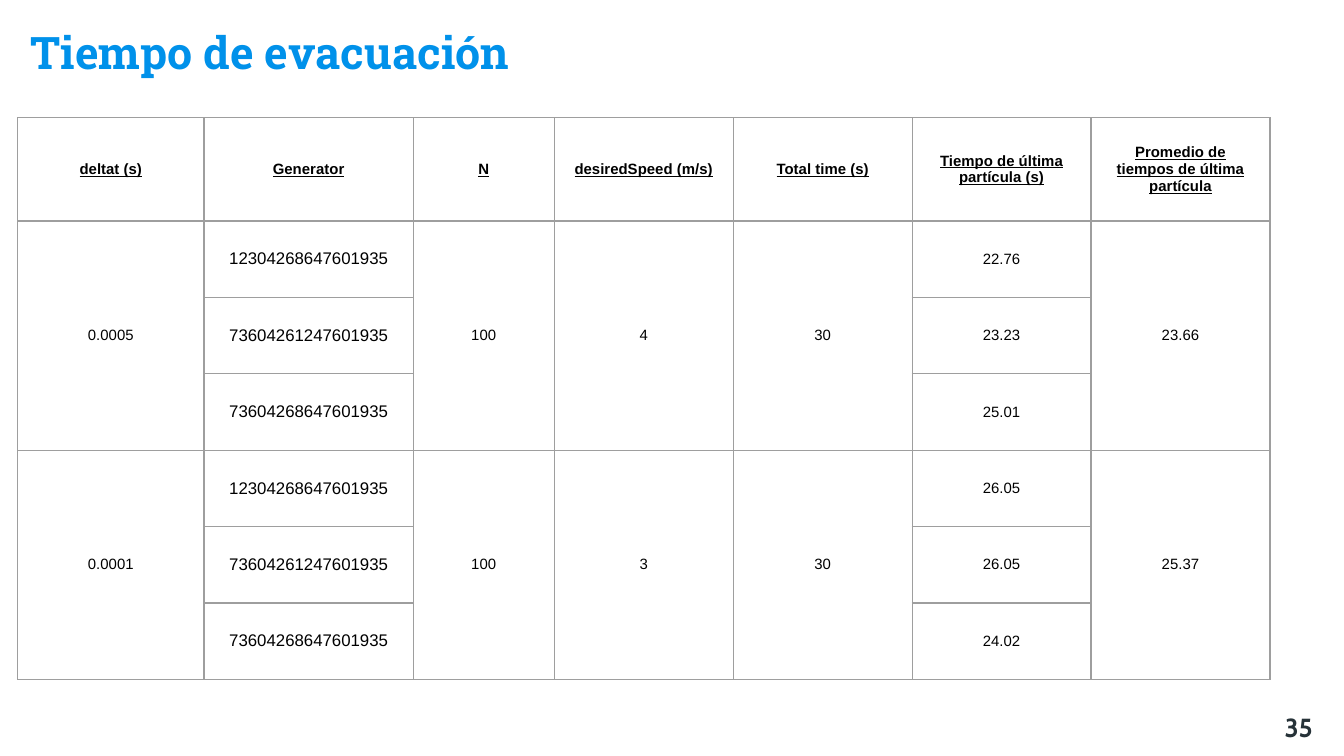
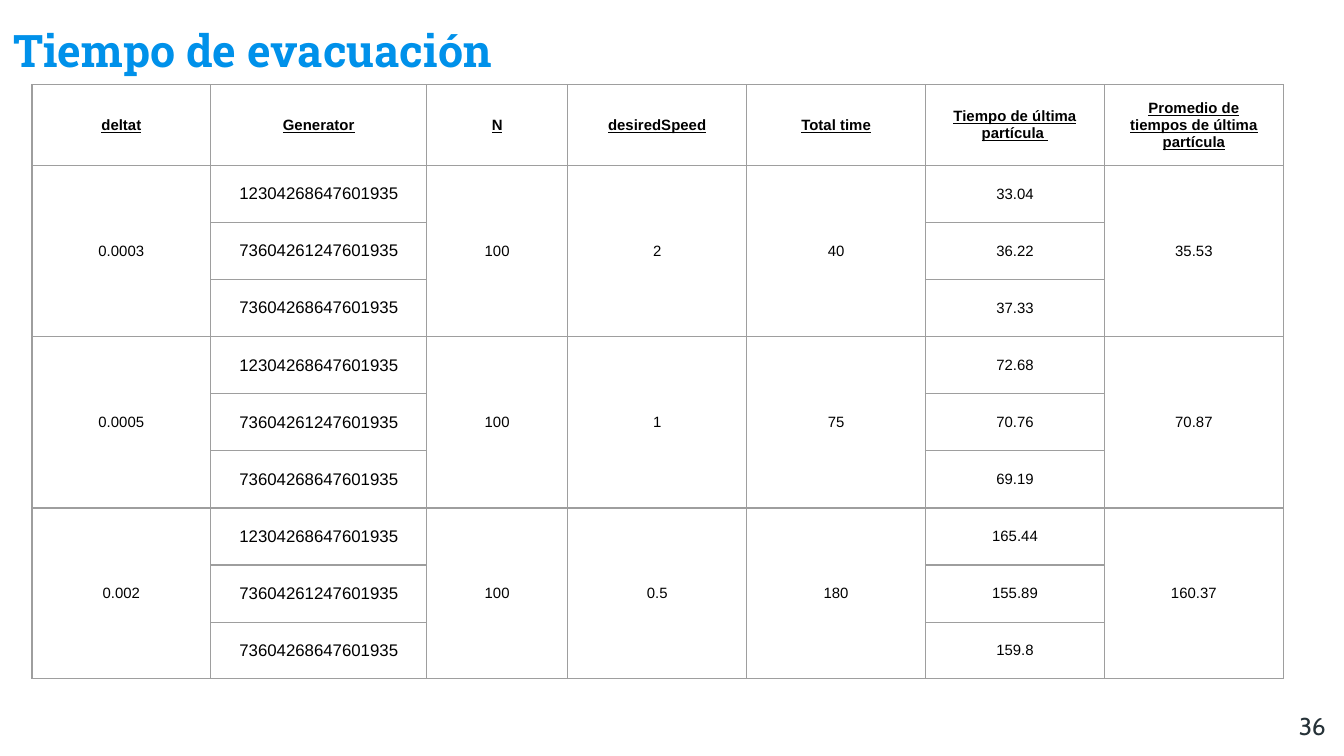
"""Builds two slides of evacuation time tables."""
from dataclasses import dataclass

from lxml import etree
from pptx import Presentation
from pptx import util as u
from pptx.dml.color import RGBColor
from pptx.enum import text
from pptx.oxml import ns

PX = 5715
BLUE = RGBColor(0x00, 0x91, 0xEA)
SLATE = RGBColor(0x26, 0x32, 0x38)
BLACK = RGBColor(0x00, 0x00, 0x00)
BORDER = RGBColor(0x9E, 0x9E, 0x9E)
INSET = 16
FRAME_SIZE = 525
TITLE = "Tiempo de evacuación"
GENERATORS = ("12304268647601935", "73604261247601935", "73604268647601935")
GENERATOR_COLUMN, TIME_COLUMN = 1, 5


@dataclass(frozen=True)
class Style:
    font: str
    size: int
    color: RGBColor
    bold: bool = False
    underline: bool = False
    align: text.PP_ALIGN = text.PP_ALIGN.CENTER
    anchor: text.MSO_ANCHOR = text.MSO_ANCHOR.MIDDLE


@dataclass(frozen=True)
class Box:
    left: int
    top: int
    width: int
    height: int


@dataclass(frozen=True)
class Trial:
    deltat: str
    speed: str
    total: str
    times: tuple[str, str, str]
    average: str


@dataclass(frozen=True)
class Page:
    title_box: Box
    number: str
    number_style: Style
    table_left: int
    table_top: int
    columns: tuple[int, ...]
    rows: tuple[int, ...]
    headers: tuple[str, ...]
    trials: tuple[Trial, ...]


TITLE_STYLE = Style("Roboto Slab", 24, BLUE, bold=True,
                    align=text.PP_ALIGN.LEFT, anchor=text.MSO_ANCHOR.BOTTOM)
HEADER_STYLE = Style("Arial", 8, BLACK, bold=True, underline=True)
VALUE_STYLE = Style("Arial", 8, BLACK)
GENERATOR_STYLE = Style("Arial", 9, BLACK)
NUMBER_BOX = Box(1498, 831, 96, 69)

PAGES = (
    Page(
        Box(21, -14, 1325, 123), "35", Style("Cabin", 14, SLATE, bold=True),
        21, 140, (222, 249, 168) + (213,) * 4, (123,) + (91,) * 6,
        ("deltat (s)", "Generator", "N", "desiredSpeed (m/s)", "Total time (s)",
         "Tiempo de última partícula (s)", "Promedio de tiempos de última partícula"),
        (Trial("0.0005", "4", "30", ("22.76", "23.23", "25.01"), "23.66"),
         Trial("0.0001", "3", "30", ("26.05", "26.05", "24.02"), "25.37")),
    ),
    Page(
        Box(0, -16, 1325, 123), "36",
        Style("Cabin", 13, SLATE, align=text.PP_ALIGN.RIGHT, anchor=text.MSO_ANCHOR.TOP),
        38, 101, (213, 257, 168) + (213,) * 4, (68,) * 9 + (67,),
        ("deltat", "Generator", "N", "desiredSpeed", "Total time",
         "Tiempo de última partícula ", "Promedio de tiempos de última partícula"),
        (Trial("0.0003", "2", "40", ("33.04", "36.22", "37.33"), "35.53"),
         Trial("0.0005", "1", "75", ("72.68", "70.76", "69.19"), "70.87"),
         Trial("0.002", "0.5", "180", ("165.44", "155.89", "159.8"), "160.37")),
    ),
)


def write(frame, words: str, style: Style) -> None:
    """Write one styled run into a text frame."""
    paragraph = frame.paragraphs[0]
    paragraph.alignment = style.align
    run = paragraph.add_run()
    run.text = words
    font = run.font
    font.name, font.size = style.font, u.Pt(style.size)
    font.bold, font.underline = style.bold, style.underline
    font.color.rgb = style.color


def set_margins(target, inset: int) -> None:
    """Give a cell or text frame equal margins."""
    target.margin_left = target.margin_right = inset * PX
    target.margin_top = target.margin_bottom = inset * PX


def add_text(slide, box: Box, words: str, style: Style) -> None:
    """Add a wrapped text box."""
    shape = slide.shapes.add_textbox(
        box.left * PX, box.top * PX, box.width * PX, box.height * PX)
    frame = shape.text_frame
    frame.word_wrap = True
    frame.vertical_anchor = style.anchor
    set_margins(frame, INSET)
    write(frame, words, style)


def format_cell(cell) -> None:
    """Give a cell its borders, empty fill and margins."""
    properties = cell._tc.get_or_add_tcPr()
    for side in ("lnL", "lnR", "lnT", "lnB"):
        line = etree.SubElement(properties, ns.qn(f"a:{side}"), w=str(u.Pt(0.75)))
        fill = etree.SubElement(line, ns.qn("a:solidFill"))
        etree.SubElement(fill, ns.qn("a:srgbClr"), val=str(BORDER))
    cell.fill.background()
    set_margins(cell, 0 if cell.is_spanned else INSET)


def fill_cell(cell, words: str, style: Style) -> None:
    """Write styled words into a table cell."""
    cell.vertical_anchor = style.anchor
    write(cell.text_frame, words, style)


def fill_trial(table, first: int, trial: Trial) -> None:
    """Write the rows of a trial, merging its shared values."""
    shared = {0: trial.deltat, 2: "100", 3: trial.speed, 4: trial.total, 6: trial.average}
    for column, words in shared.items():
        cell = table.cell(first, column)
        cell.merge(table.cell(first + len(GENERATORS) - 1, column))
        fill_cell(cell, words, VALUE_STYLE)
    for row, (generator, time) in enumerate(zip(GENERATORS, trial.times), first):
        fill_cell(table.cell(row, GENERATOR_COLUMN), generator, GENERATOR_STYLE)
        fill_cell(table.cell(row, TIME_COLUMN), time, VALUE_STYLE)


def add_results(slide, page: Page) -> None:
    """Add the table of trials."""
    shape = slide.shapes.add_table(
        len(page.rows), len(page.columns), page.table_left * PX, page.table_top * PX,
        FRAME_SIZE * PX, FRAME_SIZE * PX)
    table = shape.table
    table.first_row = table.horz_banding = False
    for column, width in zip(table.columns, page.columns):
        column.width = width * PX
    for row, height in zip(table.rows, page.rows):
        row.height = height * PX
    shape.width = shape.height = FRAME_SIZE * PX
    for column, header in enumerate(page.headers):
        fill_cell(table.cell(0, column), header, HEADER_STYLE)
    for index, trial in enumerate(page.trials):
        fill_trial(table, 1 + index * len(GENERATORS), trial)
    for cell in table.iter_cells():
        format_cell(cell)


def main() -> None:
    """Build and save the presentation."""
    presentation = Presentation()
    presentation.slide_width, presentation.slide_height = 1600 * PX, 900 * PX
    for page in PAGES:
        slide = presentation.slides.add_slide(presentation.slide_layouts[6])
        add_text(slide, page.title_box, TITLE, TITLE_STYLE)
        add_text(slide, NUMBER_BOX, page.number, page.number_style)
        add_results(slide, page)
    presentation.save("out.pptx")


if __name__ == "__main__":
    main()
